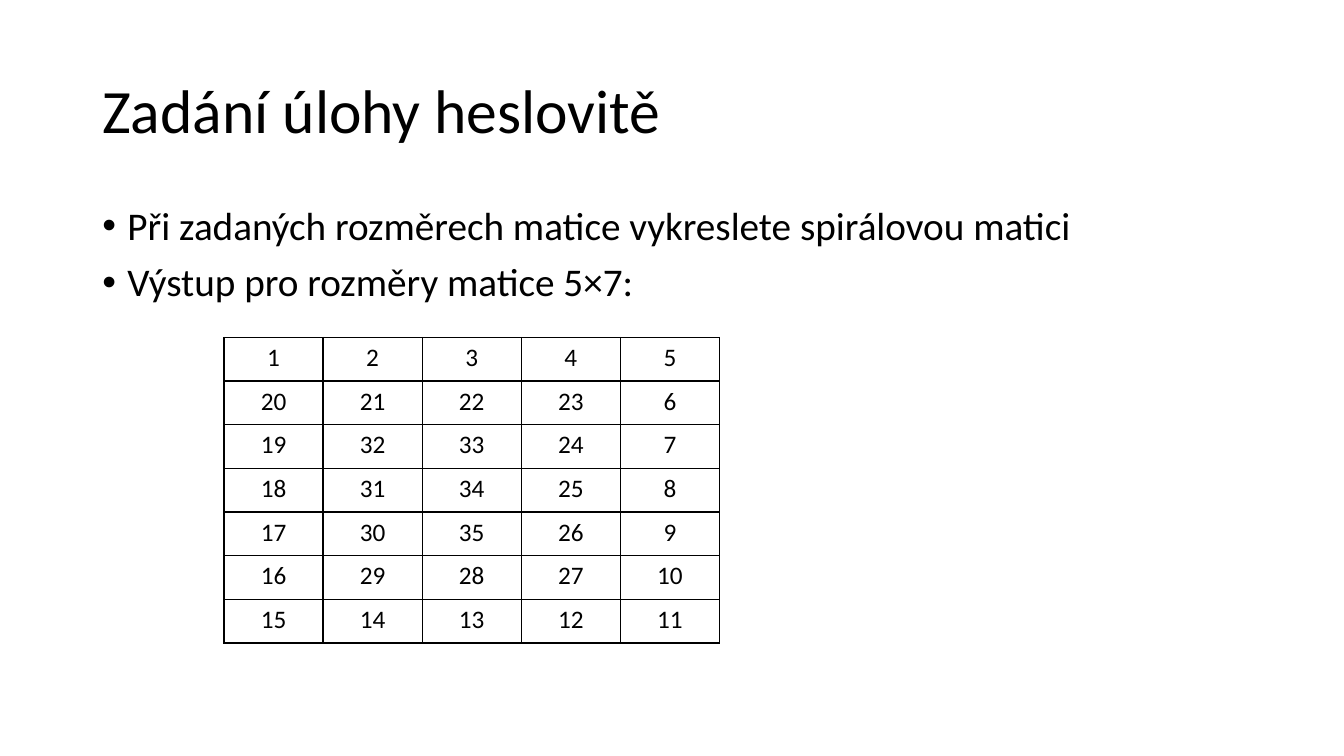
from lxml import etree
from pptx import Presentation
from pptx.dml.color import RGBColor
from pptx.enum.text import MSO_ANCHOR, MSO_AUTO_SIZE, PP_ALIGN
from pptx.oxml.ns import qn
from pptx.util import Pt

LEFT, CENTER = PP_ALIGN.LEFT, PP_ALIGN.CENTER
TOP, MIDDLE = MSO_ANCHOR.TOP, MSO_ANCHOR.MIDDLE
NO_AUTOFIT = MSO_AUTO_SIZE.NONE
TITLE_ONLY = 5
FONT = "Calibri"
COLORS = {"text": "000000", "border": "000000"}
MARGIN, CONTENT_WIDTH = 66, 828
MATRIX_COLUMNS, MATRIX_ROWS = 5, 7
CELL_WIDTH, CELL_HEIGHT = 70.8, 31.2


def write_paragraph(paragraph, text, size, align=LEFT, line_spacing=None, space_before=0):
    """Fill a paragraph with one formatted run."""
    paragraph.alignment = align
    paragraph.space_before = Pt(space_before)
    if line_spacing:
        paragraph.line_spacing = line_spacing
    run = paragraph.add_run()
    run.text = text
    run.font.name = FONT
    run.font.size = Pt(size)
    run.font.color.rgb = RGBColor.from_string(COLORS["text"])


def prepare_frame(shape, left, top, width, height, anchor):
    """Place a text shape and return its wrapped text frame."""
    shape.left, shape.top = Pt(left), Pt(top)
    shape.width, shape.height = Pt(width), Pt(height)
    frame = shape.text_frame
    frame.word_wrap = True
    frame.auto_size = NO_AUTOFIT
    frame.vertical_anchor = anchor
    return frame


def add_bullet(paragraph, indent=18):
    """Give a paragraph a round bullet with a hanging indent."""
    properties = paragraph._p.get_or_add_pPr()
    properties.set("marL", str(Pt(indent)))
    properties.set("indent", str(-Pt(indent)))
    etree.SubElement(properties, qn("a:buFont"), typeface="Arial")
    etree.SubElement(properties, qn("a:buChar"), char="•")


def add_title(slide, text):
    """Write the slide title into its placeholder."""
    frame = prepare_frame(slide.shapes.title, MARGIN, 28.8, CONTENT_WIDTH, 104.4, MIDDLE)
    write_paragraph(frame.paragraphs[0], text, 44, line_spacing=0.9)


def add_bullet_list(slide, items):
    """Add the bulleted assignment text."""
    box = slide.shapes.add_textbox(0, 0, 0, 0)
    frame = prepare_frame(box, MARGIN, 144, CONTENT_WIDTH, 342.7, TOP)
    for index, item in enumerate(items):
        paragraph = frame.add_paragraph() if index else frame.paragraphs[0]
        write_paragraph(paragraph, item, 28, line_spacing=0.9, space_before=10)
        add_bullet(paragraph)


def spiral_matrix(rows, columns):
    """Return a matrix numbered clockwise from the top left corner inwards."""
    matrix = [[0] * columns for _ in range(rows)]
    row, column, row_step, column_step = 0, 0, 0, 1
    for number in range(1, rows * columns + 1):
        matrix[row][column] = number
        if matrix[(row + row_step) % rows][(column + column_step) % columns]:
            row_step, column_step = column_step, -row_step
        row, column = row + row_step, column + column_step
    return matrix


def add_borders(cell, width=1):
    """Draw a solid line on all four sides of a cell."""
    properties = cell._tc.get_or_add_tcPr()
    for side in ("lnL", "lnR", "lnT", "lnB"):
        line = etree.SubElement(properties, qn(f"a:{side}"), w=str(Pt(width)))
        fill = etree.SubElement(line, qn("a:solidFill"))
        etree.SubElement(fill, qn("a:srgbClr"), val=COLORS["border"])


def add_matrix_table(slide, matrix, left, top):
    """Show a matrix as a plain bordered table."""
    rows, columns = len(matrix), len(matrix[0])
    table = slide.shapes.add_table(
        rows, columns, Pt(left), Pt(top), Pt(columns * CELL_WIDTH), Pt(rows * CELL_HEIGHT)
    ).table
    table.first_row = table.horz_banding = False
    for column in table.columns:
        column.width = Pt(CELL_WIDTH)
    for row, numbers in zip(table.rows, matrix):
        row.height = Pt(CELL_HEIGHT)
        for cell, number in zip(row.cells, numbers):
            write_paragraph(cell.text_frame.paragraphs[0], str(number), 18, align=CENTER)
            add_borders(cell)
            cell.fill.background()


def main():
    """Build the slide and save it."""
    presentation = Presentation()
    presentation.slide_width, presentation.slide_height = Pt(960), Pt(540)
    slide = presentation.slides.add_slide(presentation.slide_layouts[TITLE_ONLY])
    add_title(slide, "Zadání úlohy heslovitě")
    add_bullet_list(slide, [
        "Při zadaných rozměrech matice vykreslete spirálovou matici",
        "Výstup pro rozměry matice 5×7:",
    ])
    add_matrix_table(slide, spiral_matrix(MATRIX_ROWS, MATRIX_COLUMNS), 160, 241)
    presentation.save("out.pptx")


main()
